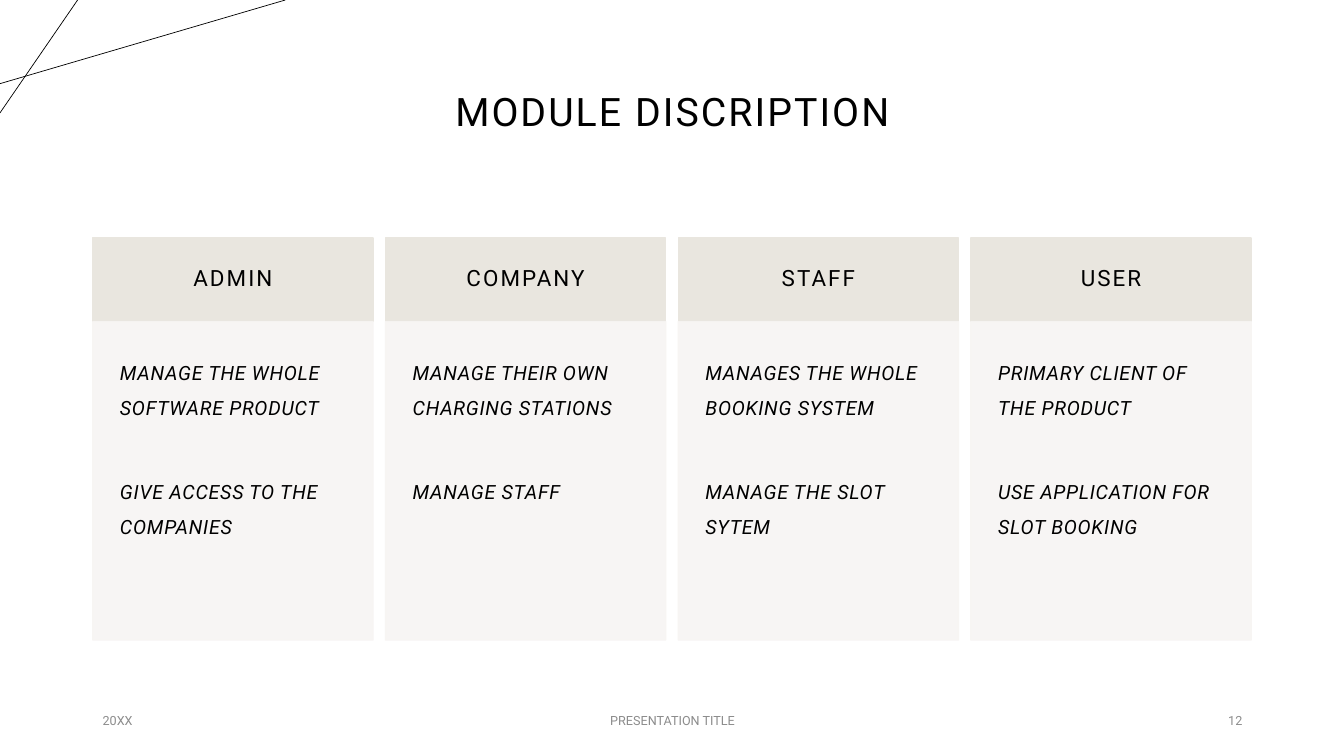
"""Builds the module description slide with four role columns."""
from pptx import Presentation
from pptx.dml.color import RGBColor
from pptx.enum.shapes import MSO_CONNECTOR, MSO_SHAPE
from pptx.enum.text import MSO_ANCHOR, PP_ALIGN
from pptx.oxml.ns import qn
from pptx.util import Inches, Pt
from lxml import etree

LEFT, CENTER, RIGHT = PP_ALIGN.LEFT, PP_ALIGN.CENTER, PP_ALIGN.RIGHT
TOP, MIDDLE = MSO_ANCHOR.TOP, MSO_ANCHOR.MIDDLE
STRAIGHT, RECTANGLE = MSO_CONNECTOR.STRAIGHT, MSO_SHAPE.RECTANGLE

FONT = "Roboto"
COLORS = {"ink": "000000", "footer": "8C8C8C", "header": "E9E6DF", "body": "F7F5F3"}

TITLE = "MODULE DISCRIPTION"
MODULES = [
    ("ADMIN", ["MANAGE THE WHOLE SOFTWARE PRODUCT", "GIVE ACCESS TO THE COMPANIES"]),
    ("COMPANY", ["MANAGE THEIR OWN CHARGING STATIONS", "MANAGE STAFF"]),
    ("STAFF", ["MANAGES THE WHOLE BOOKING SYSTEM", "MANAGE THE SLOT SYTEM"]),
    ("USER", ["PRIMARY CLIENT OF THE PRODUCT", "USE APPLICATION FOR SLOT BOOKING"]),
]
FOOTERS = [
    ("20XX", 0.92, 3, LEFT),
    ("PRESENTATION TITLE", 4.42, 4.5, CENTER),
    ("12", 9.42, 3, RIGHT),
]
CORNER_LINES = [(0, 0.83, 2.83, 0), (0.77, 0, 0, 1.12)]

GRID_LEFT, GRID_RIGHT, GRID_TOP = 0.92, 12.41, 2.36
COLUMN_WIDTH, HEADER_HEIGHT, BODY_HEIGHT = 2.78, 0.83, 3.16


def color(name):
    return RGBColor.from_string(COLORS[name])


def write(shape, lines, size, ink="ink", align=LEFT, anchor=MIDDLE, spacing=1.0,
          tracking=0, italic=False, gap=0, inset=None):
    frame = shape.text_frame
    frame.word_wrap = True
    frame.vertical_anchor = anchor
    if inset is not None:
        frame.margin_left = frame.margin_right = Inches(inset)
        frame.margin_top = frame.margin_bottom = Inches(inset)
    for index, line in enumerate(lines):
        para = frame.add_paragraph() if index else frame.paragraphs[0]
        para.alignment = align
        para.line_spacing = spacing
        if index:
            para.space_before = Pt(gap)
        span = para.add_run()
        span.text = line
        span.font.name = FONT
        span.font.size = Pt(size)
        span.font.italic = italic
        span.font.color.rgb = color(ink)
        if tracking:
            span._r.get_or_add_rPr().set("spc", str(int(tracking * 100)))


def add_text(page, bounds, lines, size, **style):
    box = page.shapes.add_textbox(*map(Inches, bounds))
    write(box, lines, size, **style)


def add_panel(page, bounds, fill, opacity=100):
    panel = page.shapes.add_shape(RECTANGLE, *map(Inches, bounds))
    panel.shadow.inherit = False
    panel.fill.solid()
    panel.fill.fore_color.rgb = color(fill)
    panel.line.color.rgb = color(fill)
    panel.line.width = Pt(1)
    if opacity < 100:
        for paint in panel._element.spPr.iter(qn("a:srgbClr")):
            etree.SubElement(paint, qn("a:alpha")).set("val", str(opacity * 1000))
    return panel


def add_line(page, ends):
    line = page.shapes.add_connector(STRAIGHT, *map(Inches, ends))
    line.line.color.rgb = color("ink")
    line.line.width = Pt(0.5)
    etree.SubElement(line._element.spPr, qn("a:effectLst"))


def main():
    deck = Presentation()
    deck.slide_width, deck.slide_height = Inches(13.33), Inches(7.5)
    page = deck.slides.add_slide(deck.slide_layouts[6])

    for ends in CORNER_LINES:
        add_line(page, ends)
    add_text(page, (0.92, 0.4, 11.5, 1.45), [TITLE], 28,
             align=CENTER, spacing=0.9, tracking=1.5)

    pitch = (GRID_RIGHT - GRID_LEFT - COLUMN_WIDTH) / (len(MODULES) - 1)
    for column, (name, duties) in enumerate(MODULES):
        left = GRID_LEFT + column * pitch
        header = add_panel(page, (left, GRID_TOP, COLUMN_WIDTH, HEADER_HEIGHT), "header")
        write(header, [name], 16, align=CENTER, spacing=0.9, tracking=1.5, inset=0.22)
        body = add_panel(page, (left, GRID_TOP + HEADER_HEIGHT, COLUMN_WIDTH, BODY_HEIGHT),
                         "body", opacity=90)
        write(body, duties, 14, anchor=TOP, spacing=1.5, tracking=0.5,
              italic=True, gap=35, inset=0.27)

    for label, left, width, align in FOOTERS:
        add_text(page, (left, 6.95, width, 0.4), [label], 9, ink="footer", align=align)
    deck.save("out.pptx")


if __name__ == "__main__":
    main()
